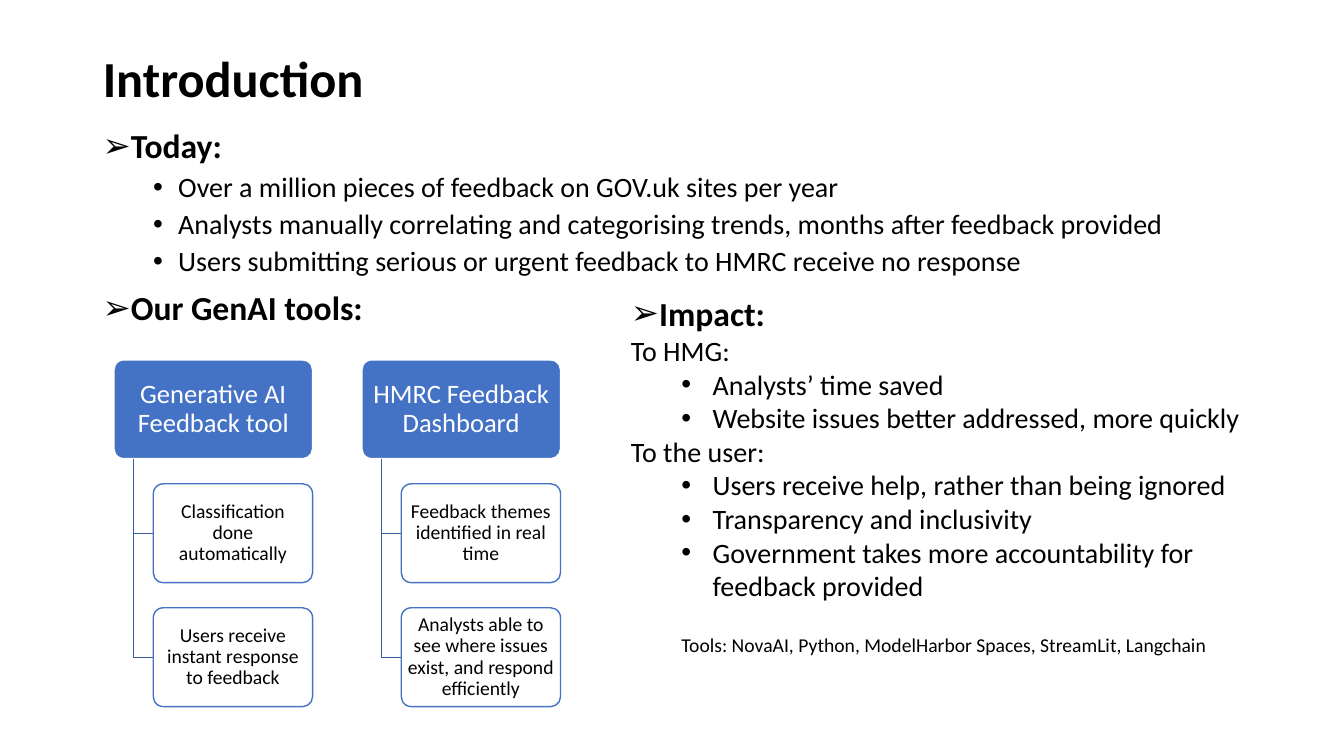
from dataclasses import dataclass

from lxml.etree import SubElement
from pptx import Presentation
from pptx.dml.color import RGBColor
from pptx.enum.shapes import MSO_SHAPE
from pptx.enum.text import MSO_ANCHOR, PP_ALIGN
from pptx.oxml.ns import qn
from pptx.util import Emu, Inches, Pt


@dataclass(frozen=True)
class Theme:
    font: str = "Calibri"
    bullet_font: str = "Arial"
    ink: RGBColor = RGBColor(0, 0, 0)
    paper: RGBColor = RGBColor(255, 255, 255)
    accent: RGBColor = RGBColor(0x44, 0x72, 0xC4)
    branch: RGBColor = RGBColor(0x36, 0x5B, 0x9D)
    title: int = 36
    heading: int = 24
    body: int = 20
    tool: int = 19
    detail: int = 14


THEME = Theme()
WIDTH, HEIGHT = Inches(13.33), Inches(7.5)
ARROW, DOT = "➢", "•"

TREE_LEFT, TREE_TOP = 8.48, 47.6
TREE_COLUMN, TREE_ROW = 18.45, 16.4
CARD_HEIGHT, TOOL_WIDTH, DETAIL_WIDTH = 13.07, 14.78, 11.85
SPINE_INSET, DETAIL_INSET = 1.46, 2.93

TODAY = [
    "Over a million pieces of feedback on GOV.uk sites per year",
    "Analysts manually correlating and categorising trends, months after feedback provided",
    "Users submitting serious or urgent feedback to HMRC receive no response",
]
TOOLS = {
    "Generative AI Feedback tool": [
        "Classification done automatically",
        "Users receive instant response to feedback",
    ],
    "HMRC Feedback Dashboard": [
        "Feedback themes identified in real time",
        "Analysts able to see where issues exist, and respond efficiently",
    ],
}
IMPACT = {
    "To HMG:": [
        "Analysts’ time saved",
        "Website issues better addressed, more quickly",
    ],
    "To the user:": [
        "Users receive help, rather than being ignored",
        "Transparency and inclusivity",
        "Government takes more accountability for feedback provided",
    ],
}
CREDITS = "Tools: NovaAI, Python, ModelHarbor Spaces, StreamLit, Langchain"


def across(percent):
    return Emu(round(WIDTH * percent / 100))


def down(percent):
    return Emu(round(HEIGHT * percent / 100))


def area(left, top, width, height):
    return across(left), down(top), across(width), down(height)


def write(paragraph, text, size, color=THEME.ink, bold=False):
    paragraph.text = text
    for run in paragraph.runs:
        run.font.name = THEME.font
        run.font.size = Pt(size)
        run.font.bold = bold
        run.font.color.rgb = color


def indent(paragraph, margin, hanging=0.0, bullet=None):
    properties = paragraph._p.get_or_add_pPr()
    properties.set("marL", str(Inches(margin)))
    properties.set("indent", str(Inches(-hanging)))
    if bullet:
        SubElement(properties, qn("a:buFont")).set("typeface", THEME.bullet_font)
        SubElement(properties, qn("a:buChar")).set("char", bullet)


def add_heading(paragraph, text):
    indent(paragraph, 0.25, 0.25, ARROW)
    write(paragraph, text, THEME.heading, bold=True)


def add_point(frame, text, margin, hanging):
    point = frame.add_paragraph()
    point.level = 1
    indent(point, margin, hanging, DOT)
    write(point, text, THEME.body)
    return point


def add_text_area(slide, bounds):
    frame = slide.shapes.add_textbox(*bounds).text_frame
    frame.word_wrap = True
    return frame


def add_title(slide, text):
    title = slide.shapes.title
    title.left, title.top, title.width, title.height = area(6.9, 5.33, 86.27, 10.93)
    title.text_frame.vertical_anchor = MSO_ANCHOR.MIDDLE
    heading = title.text_frame.paragraphs[0]
    heading.alignment = PP_ALIGN.LEFT
    heading.line_spacing = 0.9
    write(heading, text, THEME.title, bold=True)


def add_overview(slide):
    frame = add_text_area(slide, area(6.9, 16.53, 84.4, 63.47))
    add_heading(frame.paragraphs[0], "Today:")
    for text in TODAY:
        add_point(frame, text, 0.75, 0.25).space_before = Pt(5)
    tools_heading = frame.add_paragraph()
    add_heading(tools_heading, "Our GenAI tools:")
    tools_heading.space_before = Pt(10)
    for paragraph in frame.paragraphs:
        paragraph.line_spacing = 0.9


def add_impact(slide):
    frame = add_text_area(slide, area(46.21, 38.13, 47.94, 49.87))
    add_heading(frame.paragraphs[0], "Impact:")
    for audience, benefits in IMPACT.items():
        write(frame.add_paragraph(), audience, THEME.body)
        for benefit in benefits:
            add_point(frame, benefit, 0.81, 0.31)
    credits = frame.add_paragraph()
    credits.level = 1
    indent(credits, 0.5)
    credits.space_before = Pt(22)
    write(credits, CREDITS, THEME.detail)


def add_card(slide, bounds, text, size, fill, outline, ink):
    card = slide.shapes.add_shape(MSO_SHAPE.ROUNDED_RECTANGLE, *bounds)
    card.adjustments[0] = 0.1
    card.shadow.inherit = False
    card.fill.solid()
    card.fill.fore_color.rgb = fill
    card.line.color.rgb = outline
    card.line.width = Pt(1)
    frame = card.text_frame
    frame.word_wrap = True
    frame.vertical_anchor = MSO_ANCHOR.MIDDLE
    frame.margin_left = frame.margin_right = Inches(0.03)
    frame.margin_top = frame.margin_bottom = Inches(0.02)
    label = frame.paragraphs[0]
    label.alignment = PP_ALIGN.CENTER
    label.line_spacing = 0.9
    write(label, text, size, ink)


def add_branch(slide, left, top, right, bottom):
    start, corner, end = [
        (across(x), down(y)) for x, y in ((left, top), (left, bottom), (right, bottom))
    ]
    builder = slide.shapes.build_freeform(*start)
    builder.add_line_segments([corner, end], close=False)
    branch = builder.convert_to_shape()
    branch.shadow.inherit = False
    branch.fill.background()
    branch.line.color.rgb = THEME.branch
    branch.line.width = Pt(1)


def add_tool_tree(slide, column, tool, details):
    left = TREE_LEFT + column * TREE_COLUMN
    add_card(slide, area(left, TREE_TOP, TOOL_WIDTH, CARD_HEIGHT),
             tool, THEME.tool, THEME.accent, THEME.paper, THEME.paper)
    for row, detail in enumerate(details, start=1):
        top = TREE_TOP + row * TREE_ROW
        detail_left = left + DETAIL_INSET
        add_branch(slide, left + SPINE_INSET, TREE_TOP + CARD_HEIGHT,
                   detail_left, top + CARD_HEIGHT / 2)
        add_card(slide, area(detail_left, top, DETAIL_WIDTH, CARD_HEIGHT),
                 detail, THEME.detail, THEME.paper, THEME.accent, THEME.ink)


def main():
    deck = Presentation()
    deck.slide_width, deck.slide_height = WIDTH, HEIGHT
    slide = deck.slides.add_slide(deck.slide_layouts[5])
    add_title(slide, "Introduction")
    add_overview(slide)
    for column, (tool, details) in enumerate(TOOLS.items()):
        add_tool_tree(slide, column, tool, details)
    add_impact(slide)
    deck.save("out.pptx")


if __name__ == "__main__":
    main()
